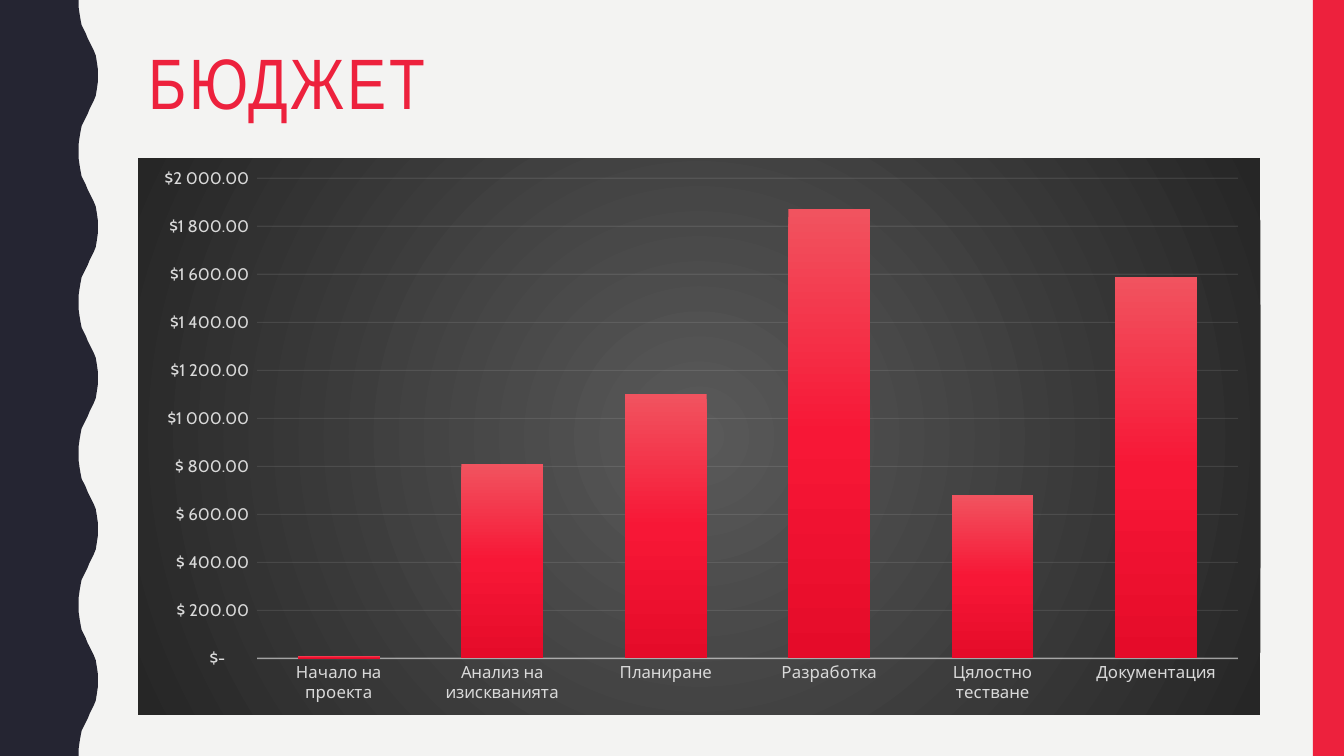
from lxml import etree
from pptx import Presentation
from pptx import util as u
from pptx.chart.data import CategoryChartData
from pptx.dml.color import RGBColor
from pptx.enum import chart as charts, shapes, text
from pptx.oxml import parse_xml
from pptx.oxml.ns import nsdecls, qn

COLOURS = {
    "paper": "F3F3F2", "navy": "252532", "red": "ED213D",
    "label": "D9D9D9", "rule": "F2F2F2",
    "panel_centre": "595959", "panel_edge": "262626",
    "bar_top": "F1535F", "bar_middle": "F71736", "bar_bottom": "E50B29",
}
HEIGHT = 7.5
HALF_WAVE = [
    (0.78, 0), (0.78, 0.07), (0.79, 0.14), (0.8, 0.2), (0.81, 0.25),
    (0.83, 0.29), (0.85, 0.33), (0.87, 0.38), (0.89, 0.42), (0.91, 0.46),
    (0.93, 0.5), (0.95, 0.55), (0.96, 0.61), (0.97, 0.68), (0.97, 0.75),
]
BUDGET = {
    "Начало на проекта": 10,
    "Анализ на изискванията": 810,
    "Планиране": 1100,
    "Разработка": 1870,
    "Цялостно тестване": 680,
    "Документация": 1590,
}
DOLLARS = (r'_-[$$-409]* #\ ##0.00_ ;_-[$$-409]* \-#\ ##0.00\ ;'
           r'_-[$$-409]* "-"??_ ;_-@_ ')


def colour(name):
    return RGBColor.from_string(COLOURS[name])


def inches(box):
    return [u.Inches(length) for length in box]


def paint(shape, name):
    shape.shadow.inherit = False
    shape.fill.solid()
    shape.fill.fore_color.rgb = colour(name)
    shape.line.fill.background()


def gradient(stops, direction):
    marks = "".join(
        f'<a:gs pos="{place * 1000}"><a:srgbClr val="{COLOURS[name]}"/></a:gs>'
        for place, name in stops)
    return (f'<a:gradFill {nsdecls("a")} rotWithShape="1">'
            f'<a:gsLst>{marks}</a:gsLst>{direction}</a:gradFill>')


def style_line(line, width, opacity):
    line.width = u.Pt(width)
    line.color.rgb = colour("rule")
    for tint in line._get_or_add_ln().iter(qn("a:srgbClr")):
        etree.SubElement(tint, qn("a:alpha"), val=str(opacity * 1000))


def style_font(font, size, name):
    font.name = "Cabin"
    font.size = u.Pt(size)
    font.color.rgb = colour(name)


def add_wave(page, box):
    left, top, width, height = box
    edge = []
    for index in range(round(height / 0.75)):
        across = [x for x, y in HALF_WAVE]
        if index % 2:
            across.reverse()
        edge += [(left + x, top + index * 0.75 + y)
                 for x, (_, y) in zip(across, HALF_WAVE)]
    edge.append((left, top + height))
    points = [(u.Inches(x), u.Inches(y)) for x, y in edge]
    builder = page.shapes.build_freeform(u.Inches(left), u.Inches(top))
    builder.add_line_segments(points, close=True)
    paint(builder.convert_to_shape(), "navy")


def add_side_bar(page, box):
    bar = page.shapes.add_shape(shapes.MSO_SHAPE.RECTANGLE, *inches(box))
    paint(bar, "red")


def add_title(page, box):
    title = page.shapes.title
    title.left, title.top, title.width, title.height = inches(box)
    frame = title.text_frame
    frame.word_wrap = True
    frame.auto_size = text.MSO_AUTO_SIZE.NONE
    frame.vertical_anchor = text.MSO_ANCHOR.TOP
    para = frame.paragraphs[0]
    para.alignment = text.PP_ALIGN.LEFT
    para.line_spacing = 0.9
    span = para.add_run()
    span.text = "БЮДЖЕТ"
    span.font.name = "Arial Narrow"
    span.font.size = u.Pt(51)
    span.font.color.rgb = colour("red")
    span.font._element.set("spc", "200")


def place_plot(chart, x, y, width, height):
    area = chart._chartSpace.find(".//" + qn("c:plotArea"))
    for layout in area.findall(qn("c:layout")):
        area.remove(layout)
    area.insert(0, parse_xml(
        f'<c:layout {nsdecls("c")}><c:manualLayout>'
        '<c:layoutTarget val="inner"/>'
        '<c:xMode val="edge"/><c:yMode val="edge"/>'
        f'<c:x val="{x}"/><c:y val="{y}"/>'
        f'<c:w val="{width}"/><c:h val="{height}"/>'
        '</c:manualLayout></c:layout>'))


def fill_panel(chart):
    fill = gradient(
        [(0, "panel_centre"), (100, "panel_edge")],
        '<a:path path="circle">'
        '<a:fillToRect l="50000" t="50000" r="50000" b="50000"/></a:path>')
    chart._chartSpace.find(qn("c:chart")).addnext(parse_xml(
        f'<c:spPr {nsdecls("c", "a")}>{fill}'
        '<a:ln><a:noFill/></a:ln></c:spPr>'))


def style_axes(chart):
    for axis in (chart.category_axis, chart.value_axis):
        axis.major_tick_mark = charts.XL_TICK_MARK.NONE
        axis.minor_tick_mark = charts.XL_TICK_MARK.NONE
        style_font(axis.tick_labels.font, 12, "label")
    style_line(chart.category_axis.format.line, 1, 54)
    values = chart.value_axis
    values.minimum_scale = 0
    values.maximum_scale = 2000
    values.major_unit = 200
    values.format.line.fill.background()
    values.has_major_gridlines = True
    style_line(values.major_gridlines.format.line, 0.75, 10)
    values.tick_labels.number_format = DOLLARS
    values.tick_labels.number_format_is_linked = False


def add_budget_chart(page, box):
    data = CategoryChartData()
    data.categories = list(BUDGET)
    data.add_series("Series 1", list(BUDGET.values()))
    chart = page.shapes.add_chart(
        charts.XL_CHART_TYPE.COLUMN_CLUSTERED, *inches(box), data).chart
    chart.has_title = False
    chart.has_legend = False
    style_font(chart.font, 10, "label")
    place_plot(chart, 0.106, 0.036, 0.874, 0.863)
    fill_panel(chart)
    style_axes(chart)
    plot = chart.plots[0]
    plot.vary_by_categories = False
    plot.gap_width = 100
    plot.overlap = -24
    series = plot.series[0]
    series.format.line.fill.background()
    stops = [(0, "bar_top"), (50, "bar_middle"), (100, "bar_bottom")]
    series._element.find(qn("c:spPr")).insert(0, parse_xml(
        gradient(stops, '<a:lin ang="5400000" scaled="0"/>')))


def build_budget_page(deck):
    page = deck.slides.add_slide(deck.slide_layouts[5])
    page.background.fill.solid()
    page.background.fill.fore_color.rgb = colour("paper")
    add_wave(page, (0, 0, 0.97, HEIGHT))
    add_side_bar(page, (13.02, 0, 0.31, HEIGHT))
    add_title(page, (1.37, 0.42, 11.13, 1.63))
    add_budget_chart(page, (1.37, 1.57, 11.13, 5.52))


def main():
    deck = Presentation()
    deck.slide_width = u.Inches(13.33)
    deck.slide_height = u.Inches(HEIGHT)
    build_budget_page(deck)
    deck.save("out.pptx")


if __name__ == "__main__":
    main()
